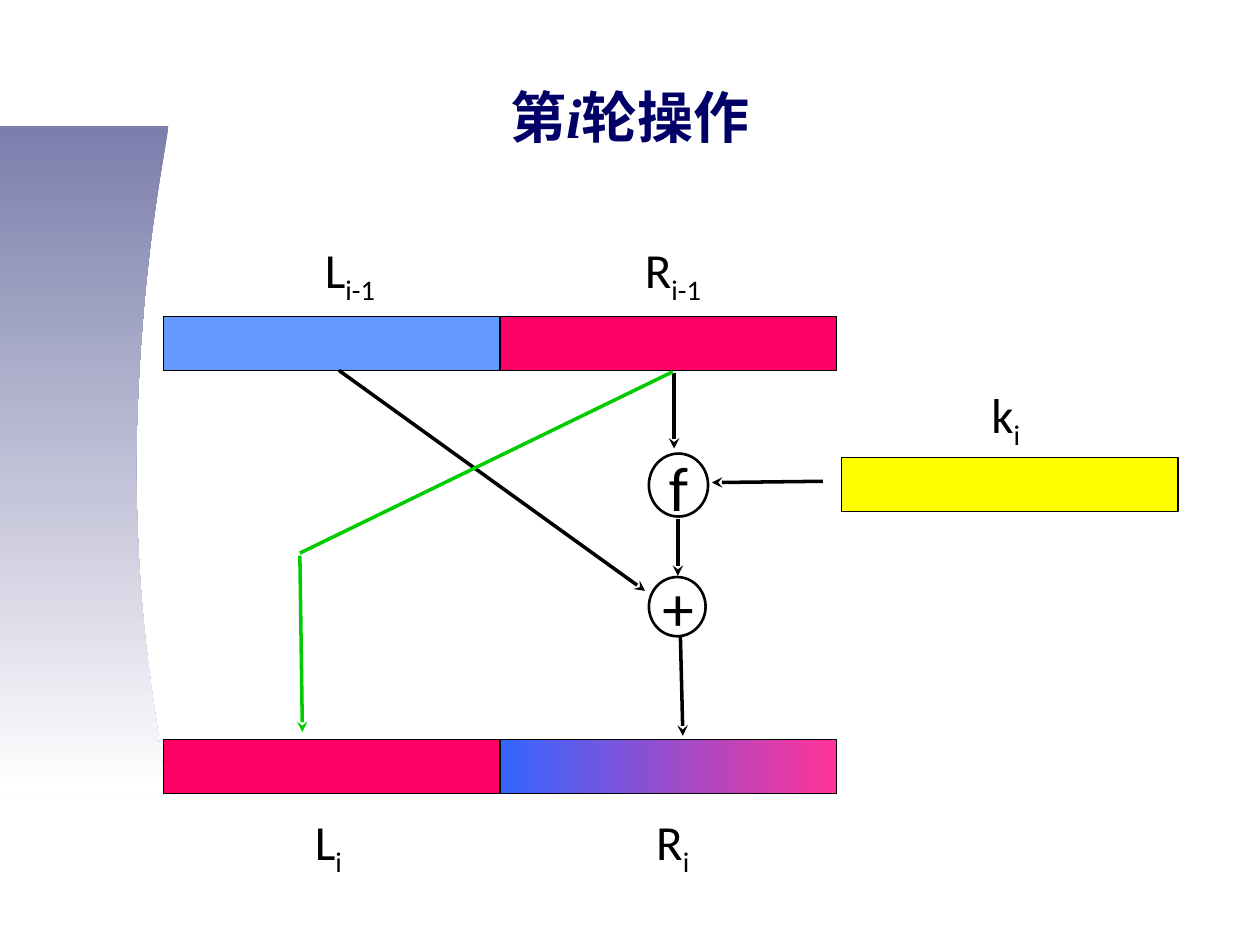
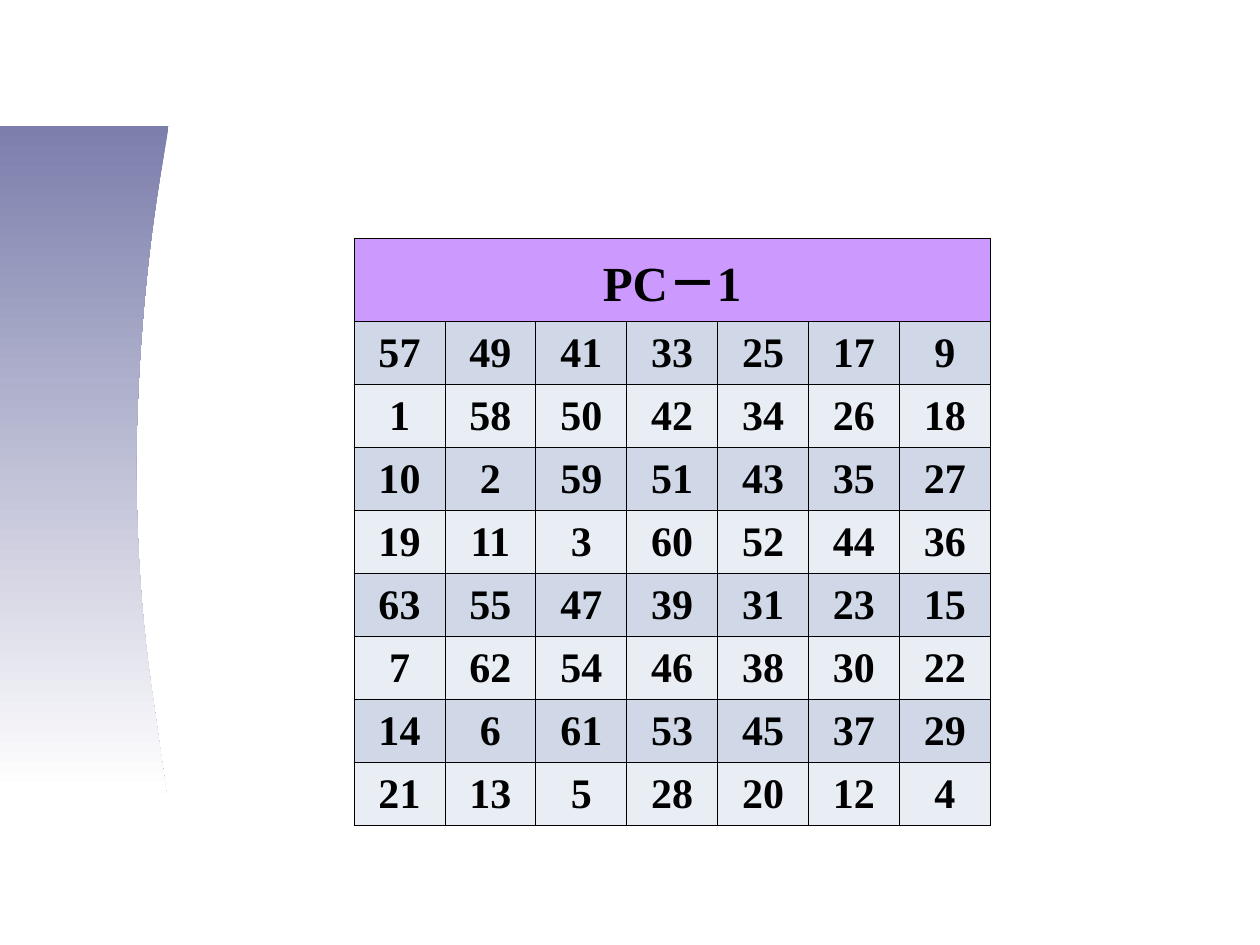
from dataclasses import dataclass

from lxml.etree import SubElement
from pptx import Presentation
from pptx.dml.color import RGBColor
from pptx.enum.shapes import MSO_CONNECTOR, MSO_SHAPE
from pptx.enum.text import MSO_ANCHOR as Anchor, PP_ALIGN as Align
from pptx.oxml.ns import qn
from pptx.util import Emu, Inches, Pt

COLORS = {
    "ink": "000000", "title": "000066", "band": "7C7EAC", "white": "FFFFFF",
    "left_half": "6699FF", "right_half": "FF0066", "key": "FFFF00",
    "mix_start": "FF3399", "mix_end": "3366FF", "copy_path": "00CC00",
    "table_head": "CC99FF", "odd_row": "D0D8E8", "even_row": "E9EDF4",
}
SERIF, SANS = "Times New Roman", "Calibri"

SLIDE_W, SLIDE_H = Inches(10), Inches(7.5)
GRID_COLS, GRID_ROWS = 100, 75

# Register blocks, in grid columns and rows
BLOCK_W, BLOCK_H = 26.7, 4.3
LEFT_COL, KEY_COL = 13, 66.8
RIGHT_COL = LEFT_COL + BLOCK_W
INPUT_ROW, KEY_ROW, OUTPUT_ROW = 25.1, 36.3, 58.7

PC1_ROWS = [
    [57, 49, 41, 33, 25, 17, 9],
    [1, 58, 50, 42, 34, 26, 18],
    [10, 2, 59, 51, 43, 35, 27],
    [19, 11, 3, 60, 52, 44, 36],
    [63, 55, 47, 39, 31, 23, 15],
    [7, 62, 54, 46, 38, 30, 22],
    [14, 6, 61, 53, 45, 37, 29],
    [21, 13, 5, 28, 20, 12, 4],
]


@dataclass(frozen=True)
class Box:
    """A rectangle in grid columns and rows."""
    col: float
    row: float
    width: float
    height: float


@dataclass(frozen=True)
class Block:
    """A bordered shape; one colour fills it, two make a gradient."""
    box: Box
    fills: tuple = ()
    kind: MSO_SHAPE = MSO_SHAPE.RECTANGLE
    border: float = 0.75


@dataclass(frozen=True)
class Path:
    start: tuple
    end: tuple
    color: str = "ink"
    arrow: bool = True


@dataclass(frozen=True)
class Run:
    text: str
    sub: bool = False
    italic: bool = False


@dataclass(frozen=True)
class Label:
    box: Box
    runs: tuple
    size: float = 28
    tab: float = 0


BLOCKS = [
    Block(Box(51.5, 36, 4.7, 5), kind=MSO_SHAPE.OVAL, border=1.5),
    Block(Box(51.5, 45.8, 4.5, 4.7), kind=MSO_SHAPE.OVAL, border=1.5),
    Block(Box(LEFT_COL, INPUT_ROW, BLOCK_W, BLOCK_H), ("left_half",)),
    Block(Box(RIGHT_COL, INPUT_ROW, BLOCK_W, BLOCK_H), ("right_half",)),
    Block(Box(LEFT_COL, OUTPUT_ROW, BLOCK_W, BLOCK_H), ("right_half",)),
    Block(Box(RIGHT_COL, OUTPUT_ROW, BLOCK_W, BLOCK_H), ("mix_start", "mix_end")),
    Block(Box(KEY_COL, KEY_ROW, BLOCK_W, BLOCK_H), ("key",)),
]
PATHS = [
    Path((65.3, 38.2), (56.5, 38.3)),
    Path((26.9, 29.4), (51.2, 46.9)),
    Path((54, 50.5), (54.2, 58.4)),
    Path((53.5, 29.6), (53.5, 35.6)),
    Path((53.8, 41.2), (53.8, 45.7)),
    Path((53.4, 29.5), (23.8, 43.9), "copy_path", arrow=False),
    Path((23.8, 44.1), (24, 58.1), "copy_path"),
]
LABELS = [
    Label(Box(51.6, 44.6, 4.6, 7), (Run("+"),), size=36),
    Label(Box(52.1, 35.1, 3.6, 7), (Run("f"),), size=36),
    Label(Box(24.8, 18.5, 34, 6.3),
          (Run("L"), Run("i-1", sub=True), Run("\tR"), Run("i-1", sub=True)), tab=25.4),
    Label(Box(77.7, 30, 4.6, 6.3), (Run("k"), Run("i", sub=True))),
    Label(Box(24, 63.9, 34, 6.3),
          (Run("L"), Run("i", sub=True), Run("\tR"), Run("i", sub=True)), tab=27.1),
]


def x(col: float) -> Emu:
    return Emu(round(SLIDE_W * col / GRID_COLS))


def y(row: float) -> Emu:
    return Emu(round(SLIDE_H * row / GRID_ROWS))


def place(box: Box) -> tuple:
    return x(box.col), y(box.row), x(box.width), y(box.height)


def rgb(name: str) -> RGBColor:
    return RGBColor.from_string(COLORS[name])


def paint(fill, names: tuple, angle: float = 180) -> None:
    """Fill with nothing, one colour or a two-colour gradient."""
    if not names:
        fill.background()
    elif len(names) == 1:
        fill.solid()
        fill.fore_color.rgb = rgb(names[0])
    else:
        fill.gradient()
        fill.gradient_angle = angle
        for stop, name in zip(fill.gradient_stops, names):
            stop.color.rgb = rgb(name)


def style_run(r, font: str, size: float, color: str = "ink", bold: bool = False) -> None:
    r.font.name, r.font.size, r.font.bold = font, Pt(size), bold
    r.font.color.rgb = rgb(color)


def bezier(p0: tuple, p1: tuple, p2: tuple, p3: tuple, steps: int = 24) -> list:
    """Points along a cubic curve, without its first point."""
    points = []
    for t in (n / steps for n in range(1, steps + 1)):
        weights = ((1 - t) ** 3, 3 * t * (1 - t) ** 2, 3 * t * t * (1 - t), t ** 3)
        points.append(tuple(sum(w * v for w, v in zip(weights, axis))
                            for axis in zip(p0, p1, p2, p3)))
    return points


def draw_side_band(slide) -> None:
    waist, top, bottom = (10.8, 37.1), (13.4, 10), (13.2, 62.9)
    points = bezier(waist, (11, 49.7), (11.9, 53.2), bottom)
    points += [(0, 62.9), (0, 10), top]
    points += bezier(top, (12.8, 13.6), (11, 22.5), waist)
    builder = slide.shapes.build_freeform(x(waist[0]), y(waist[1]))
    builder.add_line_segments([(x(c), y(r)) for c, r in points], close=True)
    s = builder.convert_to_shape()
    s.shadow.inherit = False
    paint(s.fill, ("band", "white"), angle=270)
    s.line.fill.background()


def draw_title(slide, runs: tuple) -> None:
    tf = slide.shapes.add_textbox(*place(Box(5, 3, 90, 12.5))).text_frame
    tf.word_wrap = True
    tf.vertical_anchor = Anchor.MIDDLE
    p = tf.paragraphs[0]
    p.alignment = Align.CENTER
    for run in runs:
        r = p.add_run()
        r.text = run.text
        style_run(r, SERIF, 32, "title", bold=True)
        r.font.italic = run.italic


def draw_block(slide, block: Block) -> None:
    s = slide.shapes.add_shape(block.kind, *place(block.box))
    s.shadow.inherit = False
    paint(s.fill, block.fills)
    s.line.color.rgb = rgb("ink")
    s.line.width = Pt(block.border)


def draw_path(slide, path: Path) -> None:
    (c1, r1), (c2, r2) = path.start, path.end
    s = slide.shapes.add_connector(MSO_CONNECTOR.STRAIGHT, x(c1), y(r1), x(c2), y(r2))
    s.line.color.rgb = rgb(path.color)
    s.line.width = Pt(2)
    props = s._element.spPr
    SubElement(props, qn("a:effectLst"))
    if path.arrow:
        SubElement(props.find(qn("a:ln")), qn("a:tailEnd"), type="stealth")


def draw_label(slide, label: Label) -> None:
    tf = slide.shapes.add_textbox(*place(label.box)).text_frame
    tf.word_wrap = True
    p = tf.paragraphs[0]
    if label.tab:
        tabs = SubElement(p._p.get_or_add_pPr(), qn("a:tabLst"))
        SubElement(tabs, qn("a:tab"), pos=str(x(label.tab)), algn="l")
    for run in label.runs:
        r = p.add_run()
        r.text = run.text
        style_run(r, SANS, label.size)
        if run.sub:
            r._r.get_or_add_rPr().set("baseline", "-25000")


def draw_cell(cell, text: str, size: float, fill: str) -> None:
    props = cell._tc.get_or_add_tcPr()
    for side in ("lnL", "lnR", "lnT", "lnB"):
        ln = SubElement(props, qn(f"a:{side}"), w=str(Pt(0.45)))
        SubElement(SubElement(ln, qn("a:solidFill")), qn("a:srgbClr"), val=COLORS["ink"])
    paint(cell.fill, (fill,))
    cell.vertical_anchor = Anchor.MIDDLE
    if text:
        cell.text_frame.text = text
        p = cell.text_frame.paragraphs[0]
        p.alignment = Align.CENTER
        style_run(p.runs[0], SERIF, size, bold=True)


def draw_permutation_table(slide, title: str, values: list) -> None:
    n_cols, head_h, row_h = len(values[0]), 5.7, 5
    box = Box(28.1, 18.9, 50.5, head_h + row_h * len(values))
    table = slide.shapes.add_table(len(values) + 1, n_cols, *place(box)).table
    table.first_row = table.horz_banding = False
    for column in table.columns:
        column.width = x(box.width / n_cols)
    for i, row in enumerate(table.rows):
        row.height = y(row_h if i else head_h)
    table.cell(0, 0).merge(table.cell(0, n_cols - 1))
    for j in range(n_cols):
        draw_cell(table.cell(0, j), "" if j else title, 28, "table_head")
        for i, row in enumerate(values, start=1):
            draw_cell(table.cell(i, j), str(row[j]), 24, "odd_row" if i % 2 else "even_row")


def new_slide(prs):
    slide = prs.slides.add_slide(prs.slide_layouts[6])
    draw_side_band(slide)
    return slide


def main() -> None:
    prs = Presentation()
    prs.slide_width, prs.slide_height = SLIDE_W, SLIDE_H

    round_slide = new_slide(prs)
    draw_title(round_slide, (Run("第"), Run("i", italic=True), Run("轮操作")))
    for block in BLOCKS:
        draw_block(round_slide, block)
    for path in PATHS:
        draw_path(round_slide, path)
    for label in LABELS:
        draw_label(round_slide, label)

    draw_permutation_table(new_slide(prs), "PC－1", PC1_ROWS)
    prs.save("out.pptx")


if __name__ == "__main__":
    main()
